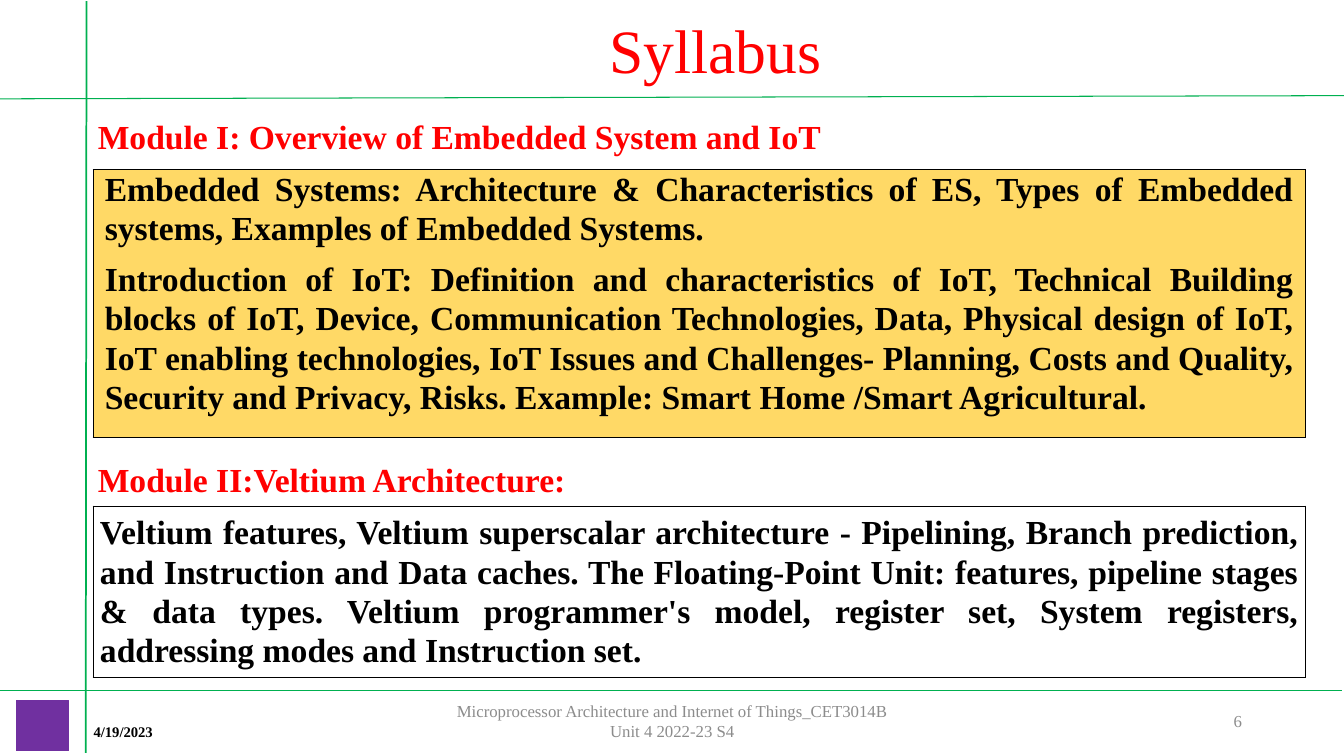
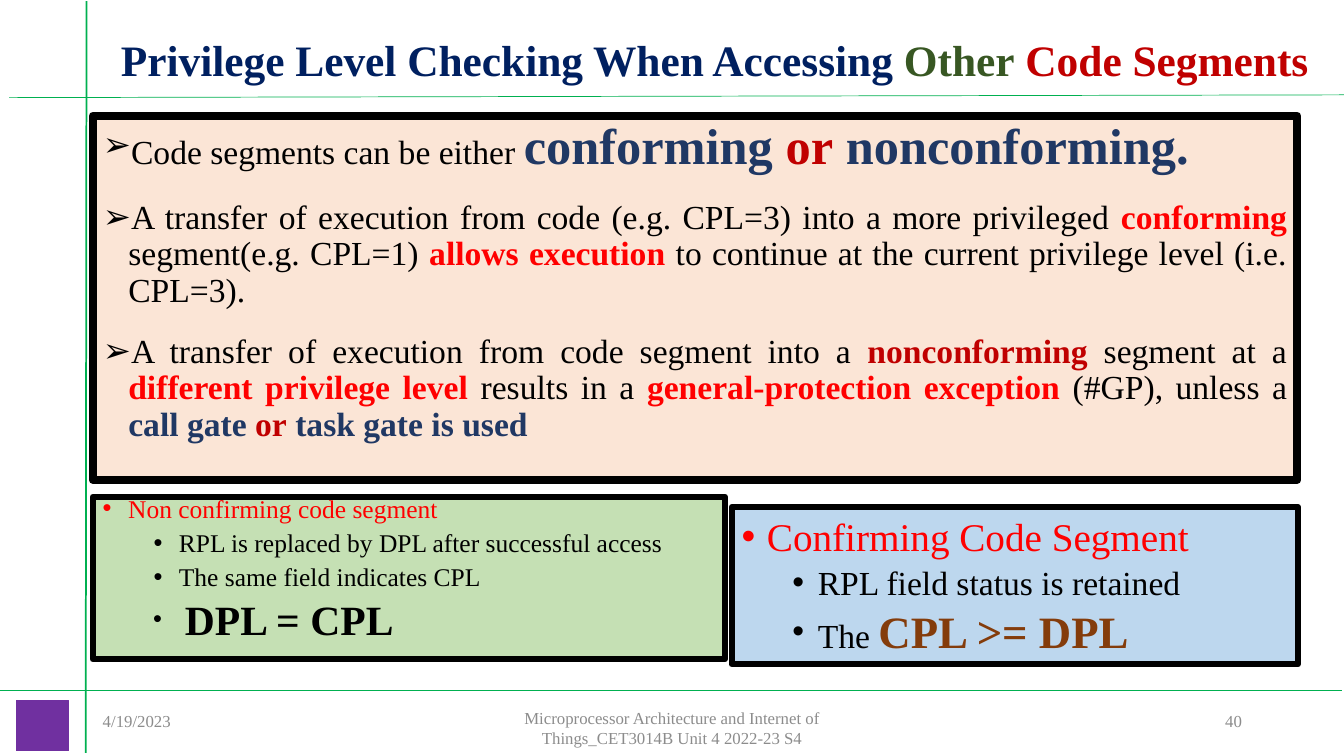
from lxml import etree
from pptx import Presentation
from pptx.dml.color import RGBColor
from pptx.enum.shapes import MSO_CONNECTOR, MSO_SHAPE
from pptx.enum.text import MSO_ANCHOR, MSO_AUTO_SIZE, PP_ALIGN
from pptx.oxml.ns import qn
from pptx.util import Cm, Pt

FONT = "Times New Roman"
BLACK = RGBColor(0x00, 0x00, 0x00)
GREY = RGBColor(0x8C, 0x8C, 0x8C)
RED = RGBColor(0xFF, 0x00, 0x00)
CRIMSON = RGBColor(0xC0, 0x00, 0x00)
NAVY = RGBColor(0x00, 0x20, 0x60)
BLUE = RGBColor(0x20, 0x38, 0x64)
BROWN = RGBColor(0x84, 0x3C, 0x0B)
FOREST = RGBColor(0x38, 0x57, 0x23)
GREEN = RGBColor(0x00, 0xB0, 0x50)
PURPLE = RGBColor(0x70, 0x30, 0xA0)
GOLD = RGBColor(0xFF, 0xD9, 0x66)
PEACH = RGBColor(0xFB, 0xE5, 0xD6)
MINT = RGBColor(0xC5, 0xE0, 0xB4)
SKY = RGBColor(0xBD, 0xD7, 0xEE)

LEFT, CENTER, RIGHT = PP_ALIGN.LEFT, PP_ALIGN.CENTER, PP_ALIGN.RIGHT
JUST = PP_ALIGN.JUSTIFY
STEP = 0.64  # bullet indent, cm

# Content: a paragraph is (style, runs), a run is (text, size, colour, bold)
FOOT = "Microprocessor Architecture and Internet of Things_CET3014B Unit 4 2022-23 S4"
DATE = "4/19/2023"

HEAD = dict(align=JUST, line=0.9)
MODULES = [
    (HEAD, [("Module I: Overview of Embedded System and IoT", 24, RED, True)]),
    (dict(HEAD, before=219),
     [("Module II:Veltium Architecture:", 24, RED, True)]),
]

CELL = dict(align=JUST, line=1.06)
TOPICS = [
    (dict(CELL, after=8),
     [("Embedded Systems: Architecture & Characteristics of ES, Types of "
       "Embedded systems, Examples of Embedded Systems.", 24, BLACK, True)]),
    (CELL,
     [("Introduction of IoT: Definition and characteristics of IoT, Technical "
       "Building blocks of IoT, Device, Communication Technologies, Data, "
       "Physical design of IoT, IoT enabling technologies, IoT Issues and "
       "Challenges- Planning, Costs and Quality, Security and Privacy, Risks. "
       "Example: Smart Home /Smart Agricultural.", 24, BLACK, True)]),
]
CHIP = [
    (CELL,
     [("Veltium features, Veltium superscalar architecture - Pipelining, "
       "Branch prediction, and Instruction and Data caches. The "
       "Floating-Point Unit: features, pipeline stages & data types. Veltium "
       "programmer's model, register set, System registers, addressing modes "
       "and Instruction set.", 24, BLACK, True)]),
]
# Tables: top, side margin, anchor, fill, paragraphs
TABLES = [
    (4.27, 0.3, MSO_ANCHOR.TOP, GOLD, TOPICS),
    (12.75, 0.18, MSO_ANCHOR.MIDDLE, None, CHIP),
]

TITLE = [
    ("Privilege Level Checking When Accessing ", 31, NAVY, True),
    ("Other", 31, FOREST, True),
    (" Code Segments", 31, CRIMSON, True),
]

ARROW = dict(line=0.9, after=12, bullet="➢", indent=STEP)
NEXT = dict(ARROW, align=JUST, before=6)
RULES = [
    (ARROW, [
        ("Code segments can be either ", 24, BLACK, False),
        ("conforming ", 36, BLUE, True),
        ("or", 36, CRIMSON, True),
        (" nonconforming.", 36, BLUE, True)]),
    (NEXT, [
        ("A transfer of execution from code (e.g. CPL=3) into a more "
         "privileged ", 24, BLACK, False),
        ("conforming", 24, RED, True),
        (" segment(e.g. CPL=1) ", 24, BLACK, False),
        ("allows execution", 24, RED, True),
        (" to continue at the current privilege level (i.e. CPL=3).",
         24, BLACK, False)]),
    (NEXT, [
        ("A transfer of execution from code segment into a ",
         24, BLACK, False),
        ("nonconforming", 24, CRIMSON, True),
        (" segment at a ", 24, BLACK, False),
        ("different privilege level ", 24, RED, True),
        ("results in a ", 24, BLACK, False),
        ("general-protection exception ", 24, RED, True),
        ("(#GP), unless a ", 24, BLACK, False),
        ("call gate ", 24, BLUE, True),
        ("or", 24, CRIMSON, True),
        (" task gate is used", 24, BLUE, True)]),
]

DOT = dict(bullet="•", indent=STEP)
SUB = dict(DOT, line=0.9, before=5, level=1, indent=3 * STEP)
NONCONF = [
    (dict(DOT, line=0.7), [("Non confirming code segment", 18.2, RED, False)]),
    (SUB, [("RPL is replaced by DPL after successful access",
            18.2, BLACK, False)]),
    (SUB, [("The same field indicates CPL", 18.2, BLACK, False)]),
    (dict(SUB, indent=2.07, hang=0.8, dot=61),
     [("DPL = CPL", 29.7, BLACK, True)]),
]
CONF = [
    (DOT, [("Confirming Code Segment", 28, RED, False)]),
    (SUB, [("RPL field status is retained", 24, BLACK, False)]),
    (SUB, [("The ", 24, BLACK, False), ("CPL >= DPL", 32, BROWN, True)]),
]
# Boxes: place, fill, paragraphs
BOXES = [
    ((2.34, 12.52, 15.93, 4.09), MINT, NONCONF),
    ((18.44, 12.78, 14.27, 3.96), SKY, CONF),
]


def place(shape, box):
    shape.left, shape.top, shape.width, shape.height = map(Cm, box)


def bullet(para, style):
    """Set the indent and the bullet, or remove the inherited bullet."""
    props = para._p.get_or_add_pPr()
    mark = style.get("bullet")
    hang = style.get("hang", STEP) if mark else 0
    props.set("marL", str(Cm(style.get("indent", 0))))
    props.set("indent", str(-Cm(hang)))
    if not mark:
        etree.SubElement(props, qn("a:buNone"))
        return
    if "dot" in style:
        size = etree.SubElement(props, qn("a:buSzPct"))
        size.set("val", str(style["dot"] * 1000))
    etree.SubElement(props, qn("a:buFont")).set("typeface", "Arial")
    etree.SubElement(props, qn("a:buChar")).set("char", mark)


def write(frame, paras, anchor=MSO_ANCHOR.TOP):
    frame.word_wrap = True
    frame.vertical_anchor = anchor
    for i, (style, runs) in enumerate(paras):
        para = frame.paragraphs[0] if i == 0 else frame.add_paragraph()
        para.level = style.get("level", 0)
        bullet(para, style)
        para.alignment = style.get("align", LEFT)
        para.line_spacing = style.get("line", 1.0)
        para.space_before = Pt(style.get("before", 0))
        para.space_after = Pt(style.get("after", 0))
        for text, size, color, bold in runs:
            run = para.add_run()
            run.text = text
            font = run.font
            font.name, font.size, font.bold = FONT, Pt(size), bold
            font.color.rgb = color


def fill(shape, color, edge, width):
    shape.fill.solid()
    shape.fill.fore_color.rgb = color
    shape.line.color.rgb = edge
    shape.line.width = Pt(width)


def rect(slide, box, color, edge, width):
    shape = slide.shapes.add_shape(MSO_SHAPE.RECTANGLE, *map(Cm, box))
    shape.shadow.inherit = False
    fill(shape, color, edge, width)
    return shape


def rule(slide, ends, width):
    line = slide.shapes.add_connector(MSO_CONNECTOR.STRAIGHT, *map(Cm, ends))
    line.line.color.rgb = GREEN
    line.line.width = Pt(width)
    etree.SubElement(line._element.spPr, qn("a:effectLst"))


def label(slide, box, text, align, size=12, color=GREY, bold=False):
    shape = slide.shapes.add_textbox(*map(Cm, box))
    write(shape.text_frame, [(dict(align=align), [(text, size, color, bold)])],
          MSO_ANCHOR.MIDDLE)


def fit(holder, box, paras, anchor=MSO_ANCHOR.TOP):
    place(holder, box)
    holder.text_frame.auto_size = MSO_AUTO_SIZE.NONE
    write(holder.text_frame, paras, anchor)


def base(deck, box, runs, number, top, width, foot):
    """Add a slide with title, green rules, corner square and footer."""
    slide = deck.slides.add_slide(deck.slide_layouts[1])
    fit(slide.shapes.title, box, [(dict(align=CENTER, line=0.9), runs)],
        MSO_ANCHOR.MIDDLE)
    rule(slide, top, width)
    rule(slide, (2.18, 0.03, 2.16, 18.97), 1.25)
    rule(slide, (0, 17.4, 33.83, 17.4), 1.25)
    rect(slide, (0.41, 17.65, 1.32, 1.27), PURPLE, PURPLE, 1)
    label(slide, foot, FOOT, CENTER)
    label(slide, (23.93, 17.65, 7.62, 1.02), number, RIGHT)
    return slide


def table(slide, top, side, anchor, color, paras):
    # The row grows to the height of its text
    grid = slide.shapes.add_table(1, 1, Cm(2.34), Cm(top), Cm(30.56),
                                  Cm(0.84)).table
    grid.first_row = grid.horz_banding = False
    cell = grid.cell(0, 0)
    cell.margin_left = cell.margin_right = Cm(side)
    cell.margin_top = cell.margin_bottom = 0
    props = cell._tc.get_or_add_tcPr()
    for edge in "LRTB":
        line = etree.SubElement(props, qn("a:ln" + edge), w=str(Pt(0.5)))
        paint = etree.SubElement(line, qn("a:solidFill"))
        etree.SubElement(paint, qn("a:srgbClr"), val=str(BLACK))
    if color:
        cell.fill.solid()
        cell.fill.fore_color.rgb = color
    else:
        cell.fill.background()
    write(cell.text_frame, paras)
    cell.vertical_anchor = anchor


def main():
    deck = Presentation()
    deck.slide_width, deck.slide_height = Cm(33.87), Cm(19.05)

    # Syllabus
    slide = base(deck, (5, 0, 26.06, 2.69), [("Syllabus", 44, RED, False)],
                 "6", (0, 2.49, 33.87, 2.41), 0.75, (11.23, 17.65, 11.43, 1.02))
    label(slide, (2.11, 17.93, 7.62, 1.02), DATE, LEFT, 10.5, BLACK, True)
    fit(slide.placeholders[1], (2.21, 2.92, 28.24, 14.22), MODULES)
    for item in TABLES:
        table(slide, *item)

    # Privilege levels
    slide = base(deck, (2.77, 0.51, 30.48, 2.11), TITLE, "40",
                 (0.23, 2.46, 33.87, 2.39), 0.5, (11.58, 18.03, 10.72, 0.64))
    label(slide, (2.34, 17.65, 7.62, 1.02), DATE, LEFT)
    body = slide.placeholders[1]
    fit(body, (2.34, 2.92, 30.35, 9.17), RULES)
    fill(body, PEACH, BLACK, 6)
    for box, color, paras in BOXES:
        write(rect(slide, box, color, BLACK, 4.5).text_frame, paras)

    deck.save("out.pptx")


if __name__ == "__main__":
    main()
